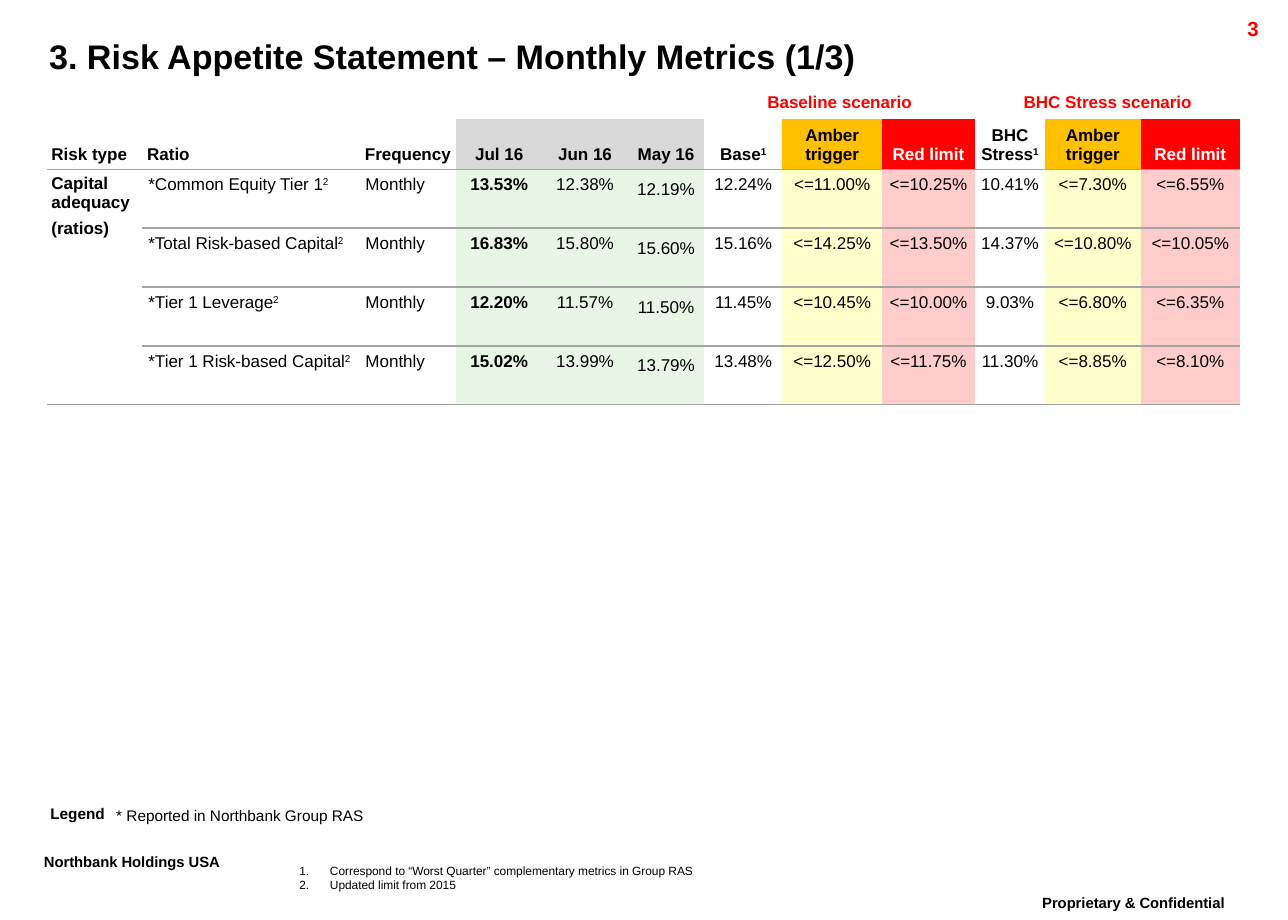
from dataclasses import dataclass

from lxml import etree
from pptx import Presentation
from pptx.dml.color import RGBColor
from pptx.enum.text import MSO_ANCHOR, MSO_AUTO_SIZE, PP_ALIGN
from pptx.oxml.ns import qn
from pptx.util import Inches, Pt

LEFT, CENTER, RIGHT = PP_ALIGN.LEFT, PP_ALIGN.CENTER, PP_ALIGN.RIGHT
TOP, BOTTOM = MSO_ANCHOR.TOP, MSO_ANCHOR.BOTTOM
FIXED = MSO_AUTO_SIZE.NONE
FONT = "Arial"
PLAIN_STYLE = "{2D5ABB26-0587-4C30-8999-92F81FD0307C}"
COLORS = {
    "text": "000000", "white": "FFFFFF", "red": "FF0000", "amber": "FFC000",
    "month": "D9D9D9", "month_tint": "E8F6E6", "amber_tint": "FFFFCC",
    "red_tint": "FFCCCC", "rule": "A5A5A5",
}


@dataclass
class Caption:
    text: str
    place: tuple[float, float, float, float]
    size: float
    bold: bool = True
    color: str = "text"
    align: PP_ALIGN = LEFT
    inset: tuple[float, float] = (0.1, 0.05)
    baseline: int = 0


@dataclass
class Column:
    header: str
    width: float
    values: tuple[str, ...]
    header_fill: str = "white"
    fill: str = "white"
    align: PP_ALIGN = CENTER
    header_align: PP_ALIGN = CENTER
    header_color: str = "text"
    bold: bool = False
    inset: tuple[float, float] = (0.03, 0.05)
    line_spacing: float = 1.0


def month(header, width, values, **options) -> Column:
    """Describe a column of monthly results."""
    return Column(header, width, values, "month", "month_tint", **options)


def amber(width, values) -> Column:
    """Describe a column of amber triggers."""
    return Column("Amber trigger", width, values, "amber", "amber_tint")


def red(width, values) -> Column:
    """Describe a column of red limits."""
    return Column("Red limit", width, values, "red", "red_tint", header_color="white")


LABEL_INSET = (0.05, 0.05)
COLUMNS = [
    Column("Risk type", 0.78, (), header_align=LEFT),
    Column("Ratio", 1.77, ("*Common Equity Tier 1^2", "*Total Risk-based Capital^2",
                           "*Tier 1 Leverage^2", "*Tier 1 Risk-based Capital^2"),
           align=LEFT, header_align=LEFT, inset=LABEL_INSET),
    Column("Frequency", 0.79, ("Monthly",) * 4, align=LEFT, inset=LABEL_INSET),
    month("Jul 16", 0.7, ("13.53%", "16.83%", "12.20%", "15.02%"), bold=True),
    month("Jun 16", 0.7, ("12.38%", "15.80%", "11.57%", "13.99%")),
    month("May 16", 0.62, ("12.19%", "15.60%", "11.50%", "13.79%"),
          inset=(0.01, 0.01), line_spacing=1.5),
    Column("Base^1", 0.64, ("12.24%", "15.16%", "11.45%", "13.48%")),
    amber(0.81, ("<=11.00%", "<=14.25%", "<=10.45%", "<=12.50%")),
    red(0.76, ("<=10.25%", "<=13.50%", "<=10.00%", "<=11.75%")),
    Column("BHC Stress^1", 0.57, ("10.41%", "14.37%", "9.03%", "11.30%")),
    amber(0.78, ("<=7.30%", "<=10.80%", "<=6.80%", "<=8.85%")),
    red(0.81, ("<=6.55%", "<=10.05%", "<=6.35%", "<=8.10%")),
]
ROW_HEIGHTS = [0.25, 0.41] + [0.48] * 4
SCENARIOS = {6: "Baseline scenario", 9: "BHC Stress scenario"}
TITLE = Caption("3. Risk Appetite Statement – Monthly Metrics (1/3)",
                (0.3, 0.29, 9.82, 0.39), 20)
CAPTIONS = [
    Caption("Proprietary & Confidential", (8.15, 7.25, 2.18, 0.35), 15,
            align=CENTER, baseline=30),
    Caption("Northbank Holdings USA", (0.26, 6.91, 1.91, 0.35), 15, baseline=30),
    Caption("3", (9.36, 0.11, 1, 0.24), 12, color="red", align=RIGHT),
    Caption("* Reported in Northbank Group RAS", (0.9, 6.59, 2.11, 0.13), 9,
            bold=False, align=CENTER, inset=(0, 0)),
    Caption("Legend", (0.41, 6.58, 0.65, 0.13), 9, inset=(0, 0)),
]
FOOTNOTES = ["Correspond to “Worst Quarter” complementary metrics in Group RAS",
             "Updated limit from 2015"]


def rgb(name: str) -> RGBColor:
    """Look up a named colour."""
    return RGBColor.from_string(COLORS[name])


def format_runs(paragraph, size: float, bold: bool = False, color: str = "text") -> None:
    """Apply the slide font to every run."""
    for run in paragraph.runs:
        run.font.name = FONT
        run.font.size = Pt(size)
        run.font.bold = bold
        run.font.color.rgb = rgb(color)


def raise_run(run, percent: int) -> None:
    """Lift a run above the baseline."""
    run.font._element.set("baseline", str(percent * 1000))


def place_shape(shape, place: tuple[float, float, float, float]) -> None:
    """Move and size a shape, given in inches."""
    shape.left, shape.top, shape.width, shape.height = map(Inches, place)


def set_margins(target, inset: tuple[float, float]) -> None:
    """Set horizontal and vertical margins of a frame or cell."""
    target.margin_left = target.margin_right = Inches(inset[0])
    target.margin_top = target.margin_bottom = Inches(inset[1])


def write_caption(shape, caption: Caption) -> None:
    """Fill a text shape with one formatted line."""
    place_shape(shape, caption.place)
    frame = shape.text_frame
    frame.text = caption.text
    frame.word_wrap = True
    frame.auto_size = FIXED
    frame.vertical_anchor = TOP
    set_margins(frame, caption.inset)
    line = frame.paragraphs[0]
    line.alignment = caption.align
    line.line_spacing = 0.86
    format_runs(line, caption.size, caption.bold, caption.color)
    if caption.baseline:
        raise_run(line.runs[0], caption.baseline)


def write_cell(cell, text: str, align=CENTER, bold=True, color="text",
               inset=(0.04, 0.04), anchor=TOP) -> None:
    """Write cell text, with a superscript after a caret."""
    set_margins(cell, inset)
    cell.vertical_anchor = anchor
    line = cell.text_frame.paragraphs[0]
    line.text, _, note = text.partition("^")
    line.alignment = align
    if note:
        mark = line.add_run()
        mark.text = note
        raise_run(mark, 30)
    format_runs(line, 10, bold, color)


def rule_below(cell) -> None:
    """Draw a thin grey line under a cell."""
    border = etree.Element(qn("a:lnB"), w=str(Pt(1)))
    fill = etree.SubElement(border, qn("a:solidFill"))
    etree.SubElement(fill, qn("a:srgbClr"), val=COLORS["rule"])
    cell._tc.get_or_add_tcPr().insert(0, border)


def draw_metrics(slide) -> None:
    """Build the table of monthly metrics."""
    frame = slide.shapes.add_table(
        len(ROW_HEIGHTS), len(COLUMNS), Inches(0.38), Inches(0.72),
        Inches(sum(c.width for c in COLUMNS)), Inches(sum(ROW_HEIGHTS)))
    table = frame.table
    table._tbl.tblPr.find(qn("a:tableStyleId")).text = PLAIN_STYLE
    table.first_row = table.horz_banding = False
    last = len(ROW_HEIGHTS) - 1
    for row, height in zip(table.rows, ROW_HEIGHTS):
        row.height = Inches(height)
    for i, column in enumerate(COLUMNS):
        table.columns[i].width = Inches(column.width)
        fills = ["white", column.header_fill] + [column.fill] * 4
        for r, fill in enumerate(fills):
            cell = table.cell(r, i)
            cell.fill.solid()
            cell.fill.fore_color.rgb = rgb(fill)
            set_margins(cell, (0.04, 0.04))
            cell.text_frame.paragraphs[0]._p.get_or_add_endParaRPr().set("sz", "1000")
            if r == 1 or r == last or (r > 1 and i > 0):
                rule_below(cell)
        write_cell(table.cell(1, i), column.header, column.header_align,
                   color=column.header_color, anchor=BOTTOM)
        for r, value in enumerate(column.values, 2):
            cell = table.cell(r, i)
            write_cell(cell, value, column.align, column.bold, inset=column.inset)
            cell.text_frame.paragraphs[0].line_spacing = column.line_spacing
    for i, scenario in SCENARIOS.items():
        table.cell(0, i).merge(table.cell(0, i + 2))
        write_cell(table.cell(0, i), scenario, color="red")
    risk_type = table.cell(2, 0)
    risk_type.merge(table.cell(last, 0))
    rule_below(risk_type)
    write_cell(risk_type, "Capital adequacy", LEFT)
    unit = risk_type.text_frame.add_paragraph()
    unit.text = "(ratios)"
    unit.space_before = Pt(4)
    format_runs(unit, 10, True)


def write_footnotes(body) -> None:
    """Fill the body placeholder with numbered notes."""
    place_shape(body, (2.44, 7.04, 5.47, 0.36))
    frame = body.text_frame
    frame.text = "\n".join(FOOTNOTES)
    frame.auto_size = FIXED
    frame.vertical_anchor = TOP
    set_margins(frame, (0, 0))
    for note in frame.paragraphs:
        properties = note._p.get_or_add_pPr()
        properties.set("marL", str(Inches(0.25)))
        properties.set("indent", str(-Inches(0.25)))
        etree.SubElement(properties, qn("a:buFont"), typeface=FONT)
        etree.SubElement(properties, qn("a:buAutoNum"), type="arabicPeriod")
        note.space_before = Pt(0)
        format_runs(note, 7)


def main() -> None:
    """Build and save the slide."""
    deck = Presentation()
    deck.slide_width, deck.slide_height = Inches(10.5), Inches(7.5)
    slide = deck.slides.add_slide(deck.slide_layouts[1])
    write_caption(slide.shapes.title, TITLE)
    write_footnotes(slide.placeholders[1])
    draw_metrics(slide)
    for caption in CAPTIONS:
        write_caption(slide.shapes.add_textbox(0, 0, 0, 0), caption)
    deck.save("out.pptx")


if __name__ == "__main__":
    main()
